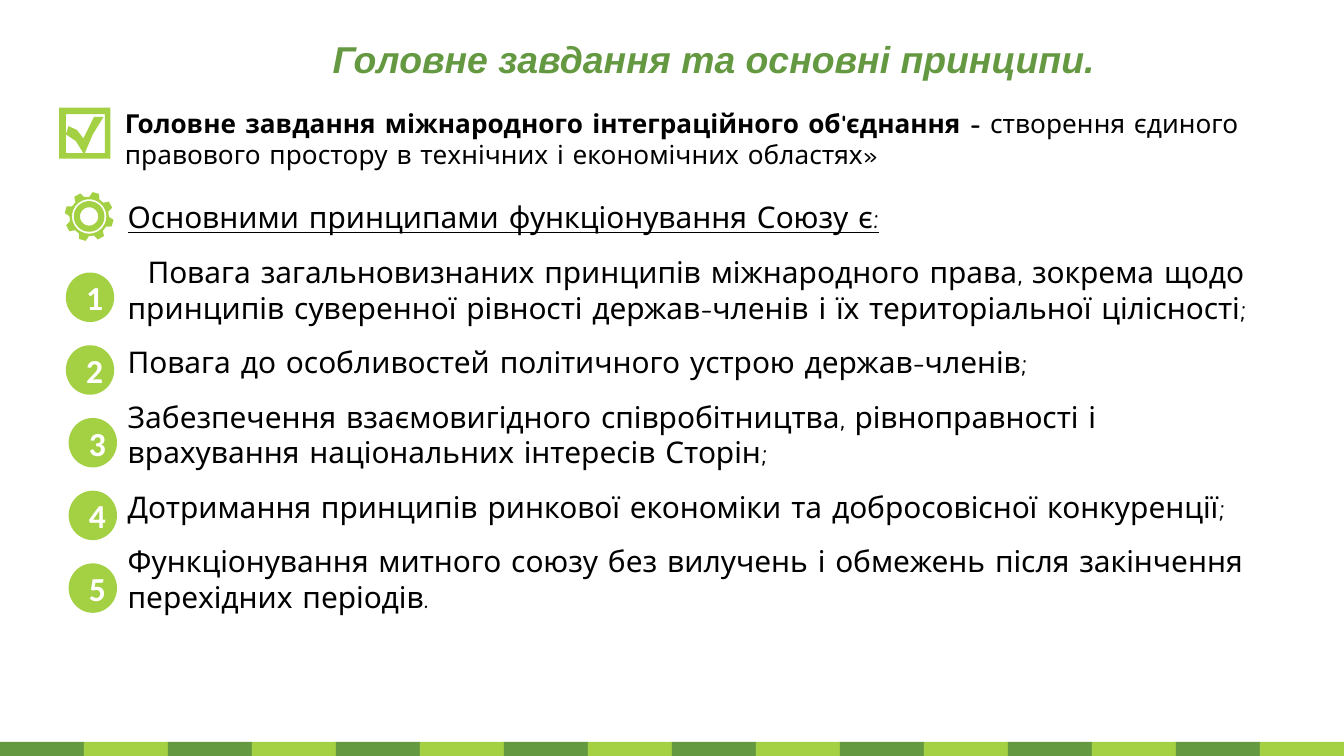
import math
from dataclasses import dataclass

import pptx
import pptx.dml.color
import pptx.enum.shapes
import pptx.enum.text
import pptx.util
from pptx.util import Pt

SHAPE = pptx.enum.shapes.MSO_SHAPE
ANCHOR = pptx.enum.text.MSO_ANCHOR
ALIGN = pptx.enum.text.PP_ALIGN
AUTO_SIZE = pptx.enum.text.MSO_AUTO_SIZE


def rgb(code):
    return pptx.dml.color.RGBColor.from_string(code)


@dataclass(frozen=True)
class Theme:
    dark_green = rgb("649941")
    light_green = rgb("A4D144")
    black = rgb("000000")
    white = rgb("FFFFFF")
    title_font = "Arial"
    body_font = "Comic Neue"
    number_font = "Calibri"
    title_size = Pt(20)
    task_size = Pt(14)
    principle_size = Pt(16)
    number_size = Pt(18)


THEME = Theme()
WIDTH, HEIGHT = 720, 405

TITLE = "Головне завдання та основні принципи."
TASK_LABEL = "Головне завдання міжнародного інтеграційного об'єднання - "
TASK = "створення єдиного правового простору в технічних і економічних областях»"
HEADING = "Основними принципами функціонування Союзу є:"
PRINCIPLES = [
    "Повага загальновизнаних принципів міжнародного права, зокрема щодо "
    "принципів суверенної рівності держав-членів і їх територіальної цілісності;",
    "Повага до особливостей політичного устрою держав-членів;",
    "Забезпечення взаємовигідного співробітництва, рівноправності і "
    "врахування національних інтересів Сторін;",
    "Дотримання принципів ринкової економіки та добросовісної конкуренції;",
    "Функціонування митного союзу без вилучень і обмежень після закінчення "
    "перехідних періодів.",
]

CHECK_CUTOUT = [
    (3.6, 3.6), (3.6, 24.5), (13, 24.5), (9, 18), (3.6, 14.4), (5, 10),
    (9.5, 12), (13, 16.6), (18.7, 5), (23.8, 5), (18, 14.4), (13.7, 24.5),
    (24.5, 24.5), (24.5, 3.6),
]


def place(shape, left, top, width, height):
    shape.left, shape.top = Pt(left), Pt(top)
    shape.width, shape.height = Pt(width), Pt(height)


def style_font(font, name, size, color, bold=False):
    font.name, font.size, font.bold = name, size, bold
    font.color.rgb = color


def paint(shape, color):
    shape.fill.solid()
    shape.fill.fore_color.rgb = color
    shape.line.fill.background()
    shape.shadow.inherit = False


def add_filled(slide, kind, left, top, width, height, color):
    shape = slide.shapes.add_shape(kind, Pt(left), Pt(top), Pt(width), Pt(height))
    paint(shape, color)
    return shape


def add_outline(slide, contours):
    """Draw one filled freeform; inner contours cut holes in outer ones."""
    first, *others = [[(Pt(x), Pt(y)) for x, y in contour] for contour in contours]
    builder = slide.shapes.build_freeform(*first[0])
    builder.add_line_segments(first[1:])
    for contour in others:
        builder.move_to(*contour[0])
        builder.add_line_segments(contour[1:])
    paint(builder.convert_to_shape(), THEME.light_green)


def polar(center, radius, degrees):
    angle = math.radians(degrees)
    return center[0] + radius * math.cos(angle), center[1] + radius * math.sin(angle)


def add_checkbox(slide, left, top, size):
    frame = [(0, 0), (size, 0), (size, size), (0, size)]
    add_outline(slide, [[(left + x, top + y) for x, y in contour]
                        for contour in (frame, CHECK_CUTOUT)])


def add_gear(slide, center):
    tooth_profile = [(-15, 10.6), (-8, 13.2), (8, 13.2), (15, 10.6)]
    teeth = [polar(center, radius, 16 + 45 * tooth + offset)
             for tooth in range(8) for offset, radius in tooth_profile]
    rings = [[polar(center, radius, degrees) for degrees in range(0, 360, 6)]
             for radius in (9.2, 8.2, 4.9)]
    add_outline(slide, [teeth, *rings])


def add_stripes(slide, count=16):
    width = WIDTH / count
    for index in range(count):
        color = THEME.light_green if index % 2 else THEME.dark_green
        add_filled(slide, SHAPE.RECTANGLE, index * width, 397.5, width, 7.5, color)


def fill_title(title):
    place(title, 0, 11.5, 765, 39.6)
    frame = title.text_frame
    frame.auto_size = AUTO_SIZE.NONE
    frame.vertical_anchor = ANCHOR.MIDDLE
    paragraph = frame.paragraphs[0]
    paragraph.text = TITLE
    paragraph.alignment = ALIGN.CENTER
    style_font(paragraph.font, THEME.title_font, THEME.title_size,
               THEME.dark_green, bold=True)
    paragraph.font.italic = True


def add_task(slide):
    box = slide.shapes.add_textbox(Pt(59.8), Pt(54), Pt(651.6), Pt(41))
    box.text_frame.word_wrap = True
    paragraph = box.text_frame.paragraphs[0]
    for text, bold in ((TASK_LABEL, True), (TASK, False)):
        run = paragraph.add_run()
        run.text = text
        style_font(run.font, THEME.body_font, THEME.task_size, THEME.black, bold)


def fill_principles(body):
    place(body, 61.2, 103, 627, 232.6)
    frame = body.text_frame
    frame.auto_size = AUTO_SIZE.NONE
    frame.vertical_anchor = ANCHOR.TOP
    frame.text = "\n".join([HEADING, *PRINCIPLES])
    for index, paragraph in enumerate(frame.paragraphs):
        paragraph.space_before, paragraph.space_after = Pt(0), Pt(10)
        style_font(paragraph.font, THEME.body_font, THEME.principle_size, THEME.black)
        paragraph.font.underline = index == 0
        properties = paragraph._p.get_or_add_pPr()
        properties.set("marL", "0")
        properties.set("indent", str(Pt(10.7) if index == 1 else 0))
        bullet = pptx.oxml.parse_xml(
            '<a:buNone xmlns:a="http://schemas.openxmlformats.org/drawingml/2006/main"/>')
        properties.find(pptx.oxml.ns.qn("a:defRPr")).addprevious(bullet)


def add_numbers(slide):
    for index in range(len(PRINCIPLES)):
        left = 35.3 if index < 2 else 36.8
        circle = add_filled(slide, SHAPE.OVAL, left, 146 + 38.95 * index,
                            25.9, 26.5, THEME.light_green)
        circle.text_frame.vertical_anchor = ANCHOR.MIDDLE
        paragraph = circle.text_frame.paragraphs[0]
        paragraph.text = str(index + 1)
        paragraph.alignment = ALIGN.CENTER
        style_font(paragraph.font, THEME.number_font, THEME.number_size,
                   THEME.white, bold=True)


def main():
    presentation = pptx.Presentation()
    presentation.slide_width, presentation.slide_height = Pt(WIDTH), Pt(HEIGHT)
    slide = presentation.slides.add_slide(presentation.slide_layouts[1])
    add_stripes(slide)
    fill_title(slide.shapes.title)
    add_task(slide)
    fill_principles(slide.placeholders[1])
    add_numbers(slide)
    add_checkbox(slide, 31.7, 57.6, 27.4)
    add_gear(slide, (47.8, 116))
    presentation.save("out.pptx")


if __name__ == "__main__":
    main()
